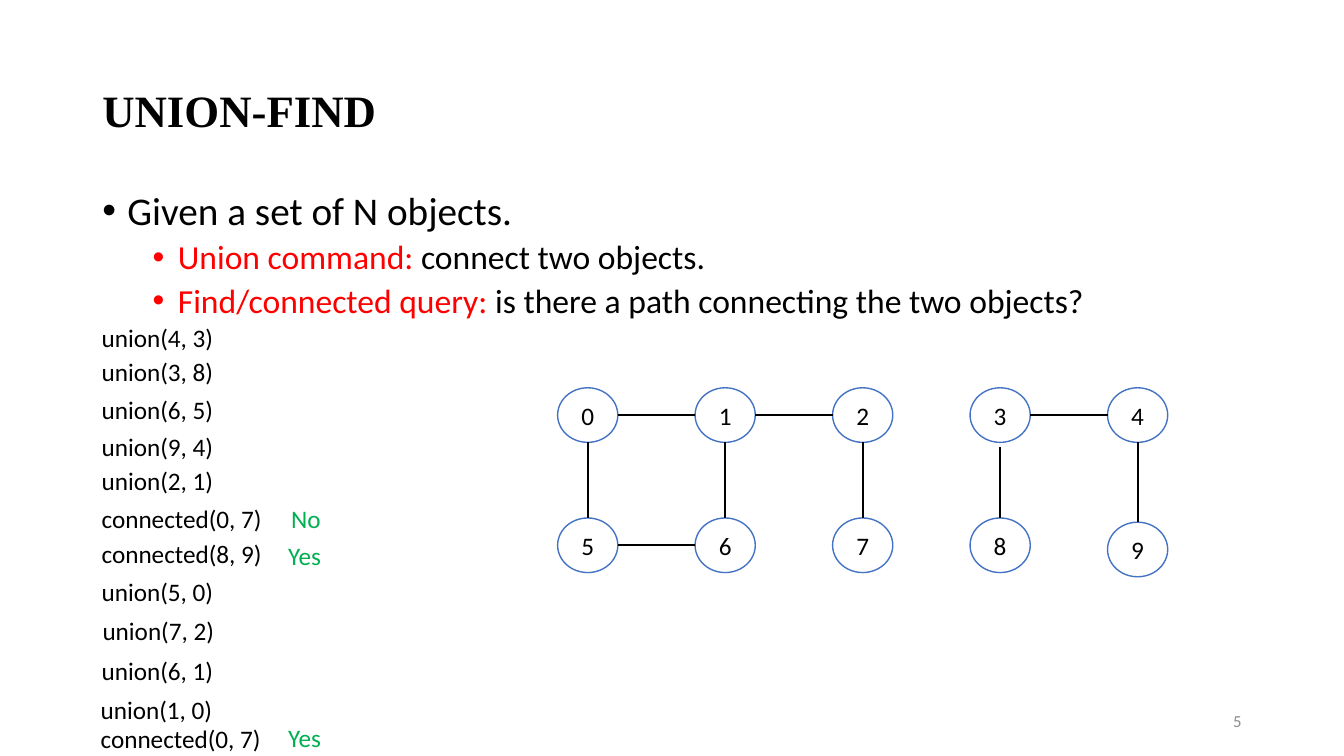
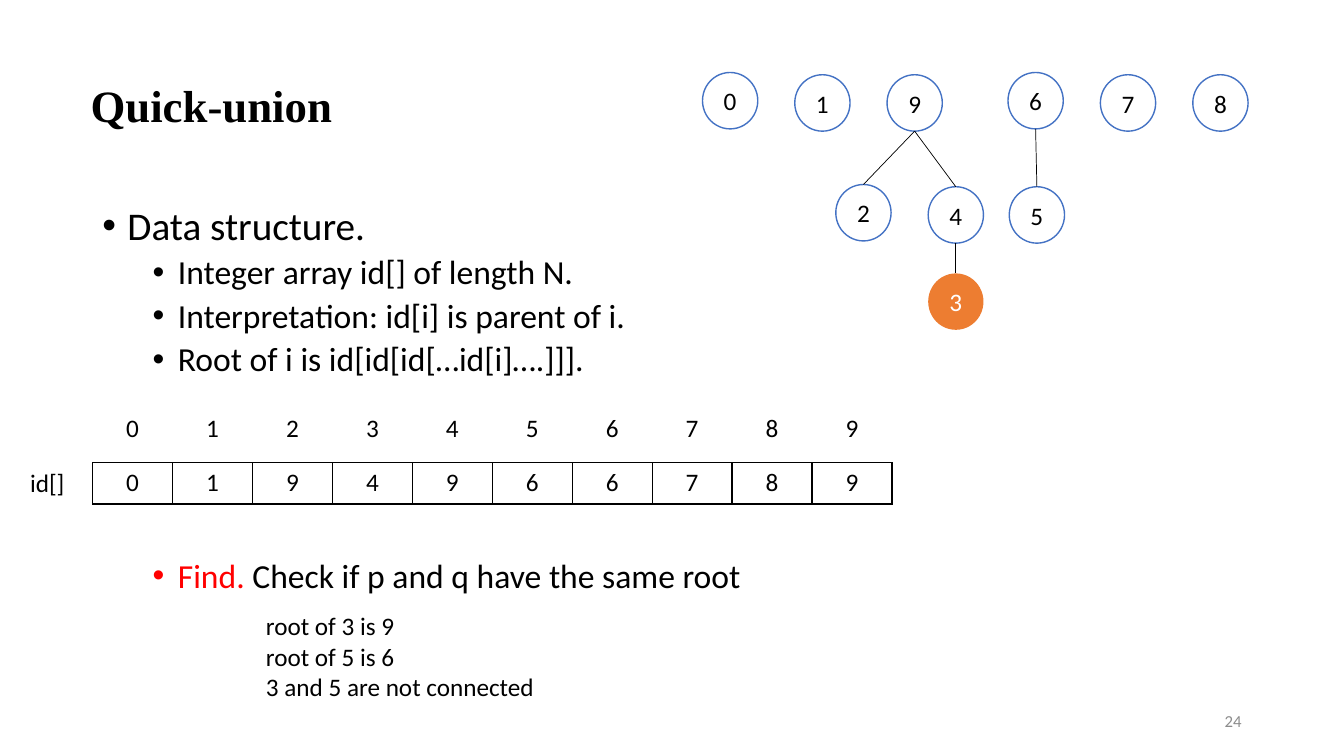
from lxml.etree import SubElement
from pptx import Presentation
from pptx.dml.color import RGBColor
from pptx.enum.shapes import MSO_CONNECTOR as Connector, MSO_SHAPE as Shape
from pptx.enum.text import MSO_ANCHOR as Anchor, PP_ALIGN as Align
from pptx.oxml.ns import qn
from pptx.util import Pt

COLOURS = {
    "black": "000000",
    "white": "FFFFFF",
    "red": "FF0000",
    "green": "00B050",
    "blue": "4472C4",
    "orange": "ED7D31",
    "grey": "8C8C8C",
}
BODY_FONT = "Calibri"
TITLE_FONT = "Times New Roman"
COLUMN_WIDTH = 57.1
ROW_HEIGHT = 29.5


def rgb(name):
    return RGBColor.from_string(COLOURS[name])


def style(para, size=18, colour="black", name=BODY_FONT, bold=False):
    font = para.font
    font.name, font.size, font.bold = name, Pt(size), bold
    if colour:
        font.color.rgb = rgb(colour)


def add_box(page, left, top, width, height, anchor=Anchor.TOP):
    box = page.shapes.add_textbox(Pt(left), Pt(top), Pt(width), Pt(height))
    frame = box.text_frame
    frame.word_wrap = True
    frame.vertical_anchor = anchor
    return frame


def add_label(page, text, left, top, width=133, height=29, colour="black"):
    frame = add_box(page, left, top, width, height)
    frame.text = text
    for para in frame.paragraphs:
        style(para, colour=colour)


def add_page(deck, title, number, left, top):
    page = deck.slides.add_slide(deck.slide_layouts[6])
    frame = add_box(page, left, top, 828, 104.4, Anchor.MIDDLE)
    frame.text = title
    frame.paragraphs[0].line_spacing = 0.9
    style(frame.paragraphs[0], 32, name=TITLE_FONT, bold=True)

    footer = add_box(page, 678, 500.5, 216, 28.8, Anchor.MIDDLE)
    footer.text = str(number)
    footer.paragraphs[0].alignment = Align.RIGHT
    style(footer.paragraphs[0], 12, "grey")
    return page


def add_bullet(para, spans, level, space_before):
    para.level = level
    para.line_spacing = 0.9
    para.space_before = Pt(space_before)
    properties = para._p.get_or_add_pPr()
    properties.set("marL", str(Pt(18 + 36 * level)))
    properties.set("indent", str(Pt(-18)))
    bullet_colour = SubElement(properties, qn("a:buClr"))
    SubElement(bullet_colour, qn("a:srgbClr"), val=COLOURS[spans[0][1]])
    SubElement(properties, qn("a:buFont"), typeface="Arial")
    SubElement(properties, qn("a:buChar"), char="•")
    mixed = len(spans) > 1
    style(para, 24 if level else 28, None if mixed else spans[0][1])
    for text, colour in spans:
        span = para.add_run()
        span.text = text
        if mixed:
            span.font.color.rgb = rgb(colour)


def add_body(page, top, heading, items):
    frame = add_box(page, 66, top, 828, 342.7)
    add_bullet(frame.paragraphs[0], [(heading, "black")], 0, 0)
    for spans, space_before in items:
        add_bullet(frame.add_paragraph(), spans, 1, space_before)


def add_node(page, label, left, top, width, height, marked=False):
    node = page.shapes.add_shape(Shape.OVAL, Pt(left), Pt(top), Pt(width), Pt(height))
    node.shadow.inherit = False
    node.fill.solid()
    node.fill.fore_color.rgb = rgb("orange" if marked else "white")
    if marked:
        node.line.fill.background()
    else:
        node.line.color.rgb = rgb("blue")
        node.line.width = Pt(1)
    frame = node.text_frame
    frame.margin_left = frame.margin_right = 0
    frame.vertical_anchor = Anchor.MIDDLE
    frame.text = str(label)
    frame.paragraphs[0].alignment = Align.CENTER
    style(frame.paragraphs[0], colour="white" if marked else "black")
    return node


def add_edge(page, start, end, weight, gap=0):
    if start.top == end.top:
        middle = start.top + start.height // 2
        ends = start.left + start.width, middle, end.left, middle
    else:
        ends = (start.left + start.width // 2, start.top + start.height + Pt(gap),
                end.left + end.width // 2, end.top)
    edge = page.shapes.add_connector(Connector.STRAIGHT, *ends)
    edge.line.color.rgb = rgb("black")
    edge.line.width = Pt(weight)
    SubElement(edge._element.spPr, qn("a:effectLst"))


def add_border(cell):
    properties = cell._tc.get_or_add_tcPr()
    for side in ("lnL", "lnR", "lnT", "lnB"):
        line = SubElement(properties, qn(f"a:{side}"), w=str(Pt(1)))
        fill = SubElement(line, qn("a:solidFill"))
        SubElement(fill, qn("a:srgbClr"), val=COLOURS["black"])


def add_array(page, values, top, bordered=False):
    table = page.shapes.add_table(1, len(values), Pt(66.2), Pt(top),
                                  Pt(COLUMN_WIDTH * len(values)), Pt(ROW_HEIGHT)).table
    table.first_row = table.horz_banding = False
    table.rows[0].height = Pt(ROW_HEIGHT)
    for index, value in enumerate(values):
        table.columns[index].width = Pt(COLUMN_WIDTH)
        cell = table.cell(0, index)
        if bordered:
            add_border(cell)
        cell.fill.background()
        cell.text = str(value)
        para = cell.text_frame.paragraphs[0]
        para.alignment = Align.CENTER
        style(para)


def build_union_find(deck):
    page = add_page(deck, "UNION-FIND", 5, 66, 28.8)
    add_body(page, 133.2, "Given a set of N objects.", [
        ([("Union command: ", "red"), ("connect two objects.", "black")], 5),
        ([("Find/connected query:", "red"),
          (" is there a path connecting the two objects?", "black")], 5),
    ])

    commands = [
        ("union(4, 3)", 65.5, 226.8),
        ("union(3, 8)", 65.5, 251.3),
        ("union(6, 5)", 65.5, 278),
        ("union(9, 4)", 65.5, 304.6),
        ("union(2, 1)", 65.5, 329),
        ("connected(0, 7)", 65.5, 355.7),
        ("connected(8, 9)", 65.5, 381),
        ("union(5, 0)", 65.5, 408.2),
        ("union(7, 2)", 66.2, 435.6),
        ("union(6, 1)", 65.5, 464.4),
        ("union(1, 0)", 64.8, 492.5),
        ("connected(0, 7)", 64.8, 513.4),
    ]
    for command in commands:
        add_label(page, *command)
    for answer, left, top in [("No", 200.9, 355.7), ("Yes", 198.7, 382.3), ("Yes", 198.7, 512.6)]:
        add_label(page, answer, left, top, 40, colour="green")

    nodes = []
    for label in range(10):
        row, column = divmod(label, 5)
        top = 373 if label == 9 else 277 + 93 * row
        nodes.append(add_node(page, label, 398.3 + 98.2 * column, top, 43, 39))
    for start, end in [(0, 1), (1, 2), (3, 4), (5, 6), (0, 5), (1, 6), (2, 7), (4, 9)]:
        add_edge(page, nodes[start], nodes[end], 1.5)
    add_edge(page, nodes[3], nodes[8], 1.5, gap=3)


def build_quick_union(deck):
    page = add_page(deck, "Quick-union", 24, 57.6, 25.2)
    add_body(page, 144, "Data structure.", [
        ([("Integer array id[] of length N.", "black")], 5),
        ([("Interpretation: id[i] is parent of i.", "black")], 5),
        ([("Root of i is id[id[id[…id[i]….]]].", "black")], 5),
        ([("Find. ", "red"), ("Check if p and q have the same root", "black")], 129),
    ])

    add_array(page, range(10), 291.6)
    add_array(page, [0, 1, 9, 4, 9, 6, 6, 7, 8, 9], 330.5, bordered=True)
    add_label(page, "id[]", 14.4, 330.5, 44)

    places = {
        0: (501.8, 51.8), 1: (567.7, 53.4), 9: (633.6, 53.4),
        6: (720, 51.8), 7: (786, 53.4), 8: (852, 53.4),
        2: (597, 131.8), 4: (663, 133.4), 5: (720.9, 133.4), 3: (663, 195.3),
    }
    nodes = {label: add_node(page, label, *place, 39.5, 40.3, marked=label == 3)
             for label, place in places.items()}
    for parent, child in [(9, 2), (9, 4), (4, 3), (6, 5)]:
        add_edge(page, nodes[parent], nodes[child], 0.5)

    add_label(page, "root of 3 is 9\nroot of 5 is 6\n3 and 5 are not connected",
              182.9, 432.7, 480, 72.7)


def main():
    deck = Presentation()
    deck.slide_width, deck.slide_height = Pt(960), Pt(540)
    build_union_find(deck)
    build_quick_union(deck)
    deck.save("out.pptx")


if __name__ == "__main__":
    main()
